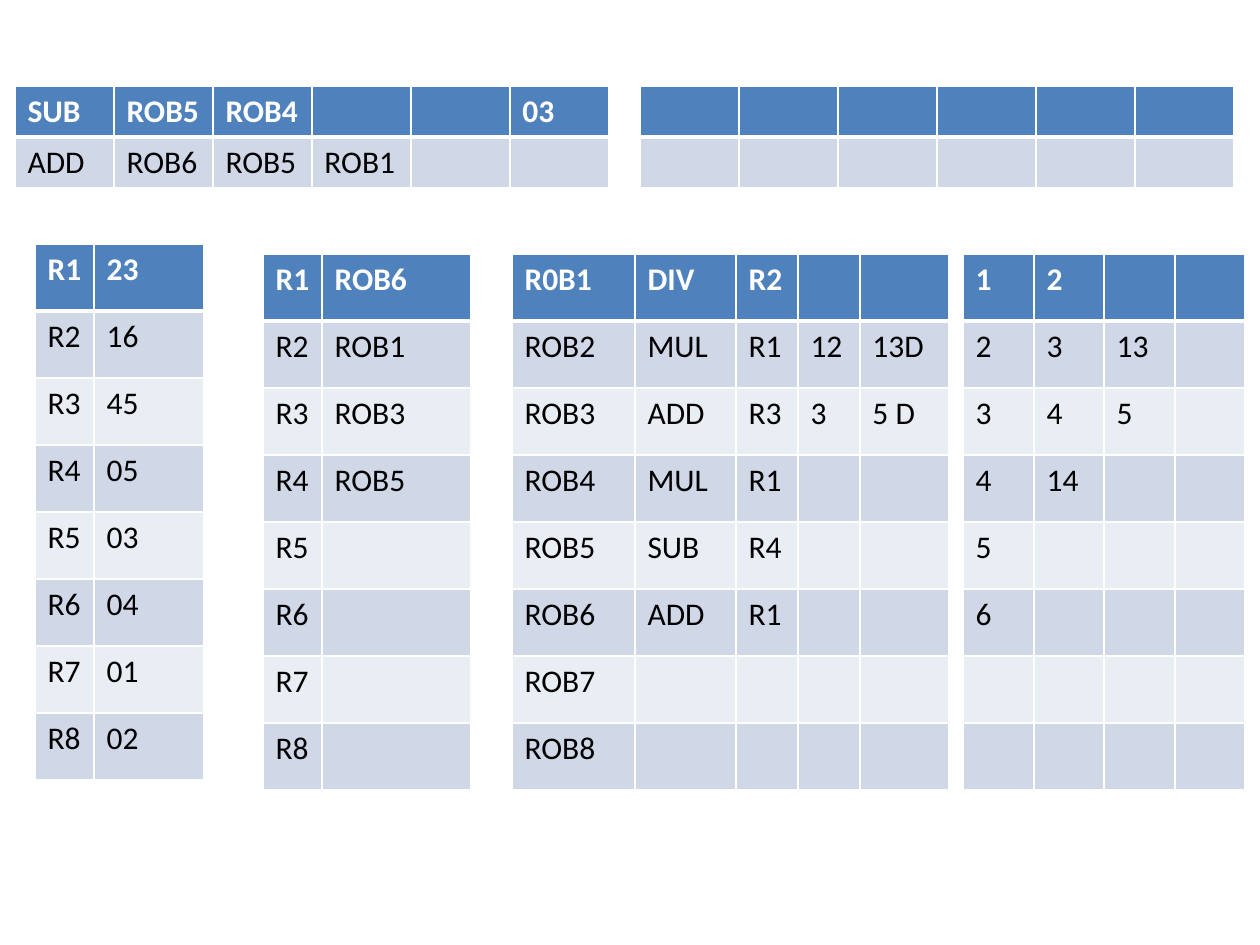
from lxml import etree
from pptx import Presentation
from pptx.dml.color import RGBColor
from pptx.oxml.ns import qn
from pptx.util import Pt

PX = 914400 / 126
COLORS = {
    "header": "4F81BD",
    "band_dark": "D0D8E8",
    "band_light": "E9EDF4",
    "border": "FFFFFF",
    "header_text": "FFFFFF",
    "body_text": "000000",
}


def px(n):
    return round(n * PX)


def add_border(cell, side, width):
    ln = etree.SubElement(cell._tc.get_or_add_tcPr(), qn(f"a:ln{side}"), w=str(Pt(width)))
    fill = etree.SubElement(ln, qn("a:solidFill"))
    etree.SubElement(fill, qn("a:srgbClr"), val=COLORS["border"])


registers = [f"R{n}" for n in range(1, 9)]
register_values = ["23", "16", "45", "05", "03", "04", "01", "02"]
renames = ["ROB6", "ROB1", "ROB3", "ROB5", "", "", "", ""]

tables = [
    (15, 86, [99] * 6, 51, [
        ["SUB", "ROB5", "ROB4", "", "", "03"],
        ["ADD", "ROB6", "ROB5", "ROB1"],
    ]),
    (640, 86, [99] * 6, 51, [[], []]),
    (35, 244, [59, 110], 67, list(zip(registers, register_values))),
    (263, 254, [59, 149], 67, list(zip(registers, renames))),
    (512, 254, [123, 101, 62, 62, 89], 67, [
        ["R0B1", "DIV", "R2"],
        ["ROB2", "MUL", "R1", "12", "13D"],
        ["ROB3", "ADD", "R3", "3", "5 D"],
        ["ROB4", "MUL", "R1"],
        ["ROB5", "SUB", "R4"],
        ["ROB6", "ADD", "R1"],
        ["ROB7"],
        ["ROB8"],
    ]),
    (963, 254, [71, 70, 71, 70], 67, [
        ["1", "2"],
        ["2", "3", "13"],
        ["3", "4", "5"],
        ["4", "14"],
        ["5"],
        ["6"],
        [],
        [],
    ]),
]

prs = Presentation()
prs.slide_width = px(1260)
prs.slide_height = px(945)
s = prs.slides.add_slide(prs.slide_layouts[6])

for left, top, widths, row_height, rows in tables:
    table = s.shapes.add_table(
        len(rows), len(widths), px(left), px(top), px(sum(widths)), px(row_height * len(rows))
    ).table
    for column, width in zip(table.columns, widths):
        column.width = px(width)
    for i, values in enumerate(rows):
        table.rows[i].height = px(row_height)
        is_header = i == 0
        band = "header" if is_header else "band_dark" if i % 2 else "band_light"
        text_color = "header_text" if is_header else "body_text"
        for j in range(len(widths)):
            cell = table.cell(i, j)
            add_border(cell, "L", 1)
            add_border(cell, "R", 1)
            add_border(cell, "T", 3 if i == 1 else 1)
            add_border(cell, "B", 3 if is_header else 1)
            cell.fill.solid()
            cell.fill.fore_color.rgb = RGBColor.from_string(COLORS[band])
            p = cell.text_frame.paragraphs[0]
            if j < len(values) and values[j]:
                p.text = values[j]
            p.font.name = "Calibri"
            p.font.size = Pt(18)
            p.font.bold = is_header
            p.font.color.rgb = RGBColor.from_string(COLORS[text_color])

prs.save("out.pptx")
